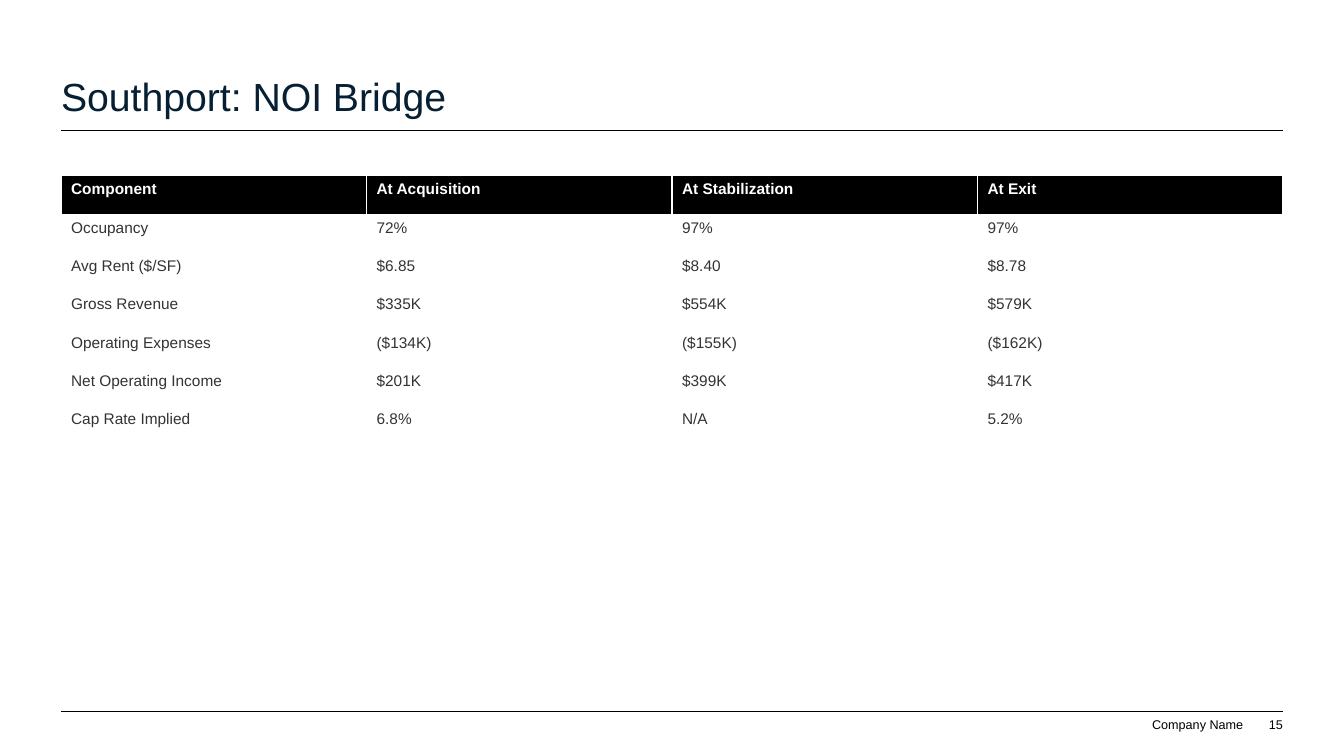
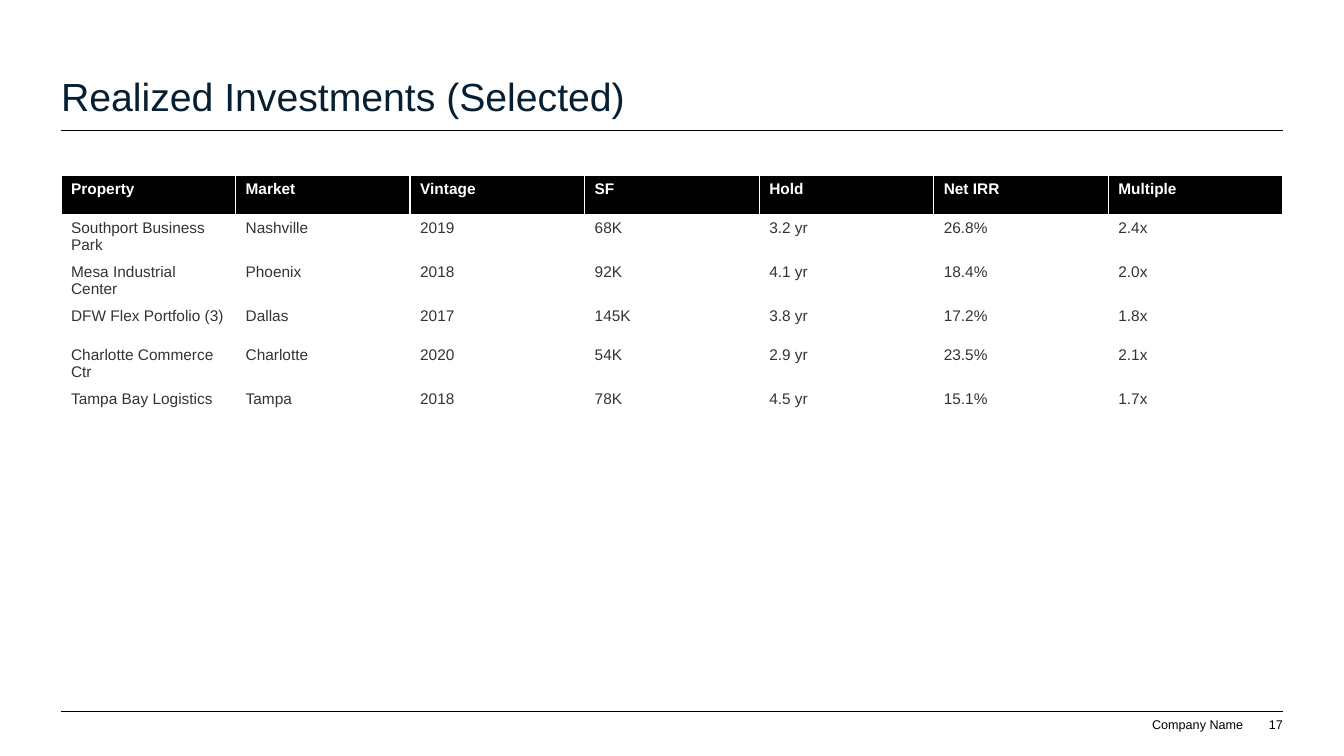
from pptx import Presentation
from pptx.dml.color import RGBColor
from pptx.enum.shapes import MSO_CONNECTOR
from pptx.enum.text import MSO_ANCHOR, MSO_AUTO_SIZE, PP_ALIGN
from pptx.oxml.ns import qn
from pptx.util import Pt

STRAIGHT = MSO_CONNECTOR.STRAIGHT
BOTTOM = MSO_ANCHOR.BOTTOM
LEFT, RIGHT = PP_ALIGN.LEFT, PP_ALIGN.RIGHT
FIXED = MSO_AUTO_SIZE.NONE

SLIDES = [
    {
        "title": "Southport: NOI Bridge",
        "number": "15",
        "rows": [
            ("Component", "At Acquisition", "At Stabilization", "At Exit"),
            ("Occupancy", "72%", "97%", "97%"),
            ("Avg Rent ($/SF)", "$6.85", "$8.40", "$8.78"),
            ("Gross Revenue", "$335K", "$554K", "$579K"),
            ("Operating Expenses", "($134K)", "($155K)", "($162K)"),
            ("Net Operating Income", "$201K", "$399K", "$417K"),
            ("Cap Rate Implied", "6.8%", "N/A", "5.2%"),
        ],
    },
    {
        "title": "Realized Investments (Selected)",
        "number": "17",
        "rows": [
            ("Property", "Market", "Vintage", "SF", "Hold", "Net IRR", "Multiple"),
            ("Southport Business Park", "Nashville", "2019", "68K", "3.2 yr", "26.8%", "2.4x"),
            ("Mesa Industrial Center", "Phoenix", "2018", "92K", "4.1 yr", "18.4%", "2.0x"),
            ("DFW Flex Portfolio (3)", "Dallas", "2017", "145K", "3.8 yr", "17.2%", "1.8x"),
            ("Charlotte Commerce Ctr", "Charlotte", "2020", "54K", "2.9 yr", "23.5%", "2.1x"),
            ("Tampa Bay Logistics", "Tampa", "2018", "78K", "4.5 yr", "15.1%", "1.7x"),
        ],
    },
]
COMPANY = "Company Name"

FONT = "Arial"
BLACK, WHITE, NAVY, GRAY = "000000", "FFFFFF", "061F32", "333333"

EMU_PER_PX = 4572
SLIDE_SIZE = (2666, 1500)
MARGIN, CONTENT_WIDTH = 121, 2424
TITLE_TOP, TITLE_HEIGHT = 77, 160
TABLE_TOP, ROW_HEIGHT = 349, 76
RULE_TOPS = (258, 1412)
FOOTER_TOP, FOOTER_HEIGHT = 1422, 30
COMPANY_LEFT, COMPANY_WIDTH = 2284, 182
NUMBER_LEFT, NUMBER_WIDTH = 2473, 72


def px(*lengths):
    return [length * EMU_PER_PX for length in lengths]


def color(value):
    return RGBColor.from_string(value)


def set_fill(target, value):
    target.fill.solid()
    target.fill.fore_color.rgb = color(value)


def add_span(para, text, size, ink, bold=False):
    span = para.add_run()
    span.text = text
    span.font.name = FONT
    span.font.size = Pt(size)
    span.font.bold = bold
    span.font.color.rgb = color(ink)


def set_line_of_text(shape, text, size, ink, align):
    """Fill a shape with one line of text, without insets, on its bottom edge."""
    frame = shape.text_frame
    frame.margin_left = frame.margin_top = frame.margin_right = frame.margin_bottom = 0
    frame.vertical_anchor = BOTTOM
    frame.auto_size = FIXED
    frame.word_wrap = True
    para = frame.paragraphs[0]
    para.alignment = align
    add_span(para, text, size, ink)


def add_title(slide, text):
    title = slide.shapes.title
    title.left, title.top, title.width, title.height = px(
        MARGIN, TITLE_TOP, CONTENT_WIDTH, TITLE_HEIGHT)
    set_fill(title, WHITE)
    set_line_of_text(title, text, 28, NAVY, LEFT)


def add_rule(slide, top):
    rule = slide.shapes.add_connector(
        STRAIGHT, *px(MARGIN, top, MARGIN + CONTENT_WIDTH, top))
    rule.line.color.rgb = color(BLACK)
    rule.line.width = Pt(0.5)
    properties = rule._element.spPr
    properties.append(properties.makeelement(qn("a:effectLst"), {}))


def add_footer(slide, number):
    for text, left, width in ((COMPANY, COMPANY_LEFT, COMPANY_WIDTH),
                              (number, NUMBER_LEFT, NUMBER_WIDTH)):
        box = slide.shapes.add_textbox(*px(left, FOOTER_TOP, width, FOOTER_HEIGHT))
        set_line_of_text(box, text, 9, BLACK, RIGHT)


def add_data_table(slide, rows):
    """Add a table of equal columns, with a black header row."""
    table = slide.shapes.add_table(
        len(rows), len(rows[0]),
        *px(MARGIN, TABLE_TOP, CONTENT_WIDTH, ROW_HEIGHT * len(rows))).table
    table.horz_banding = False
    for row_index, row in enumerate(rows):
        header = row_index == 0
        for column_index, text in enumerate(row):
            cell = table.cell(row_index, column_index)
            set_fill(cell, BLACK if header else WHITE)
            add_span(cell.text_frame.paragraphs[0], text, 11,
                     WHITE if header else GRAY, header)


def main():
    deck = Presentation()
    deck.slide_width, deck.slide_height = px(*SLIDE_SIZE)
    title_only = deck.slide_layouts.get_by_name("Title Only")
    for content in SLIDES:
        slide = deck.slides.add_slide(title_only)
        add_title(slide, content["title"])
        for top in RULE_TOPS:
            add_rule(slide, top)
        add_data_table(slide, content["rows"])
        add_footer(slide, content["number"])
    deck.save("out.pptx")


if __name__ == "__main__":
    main()
